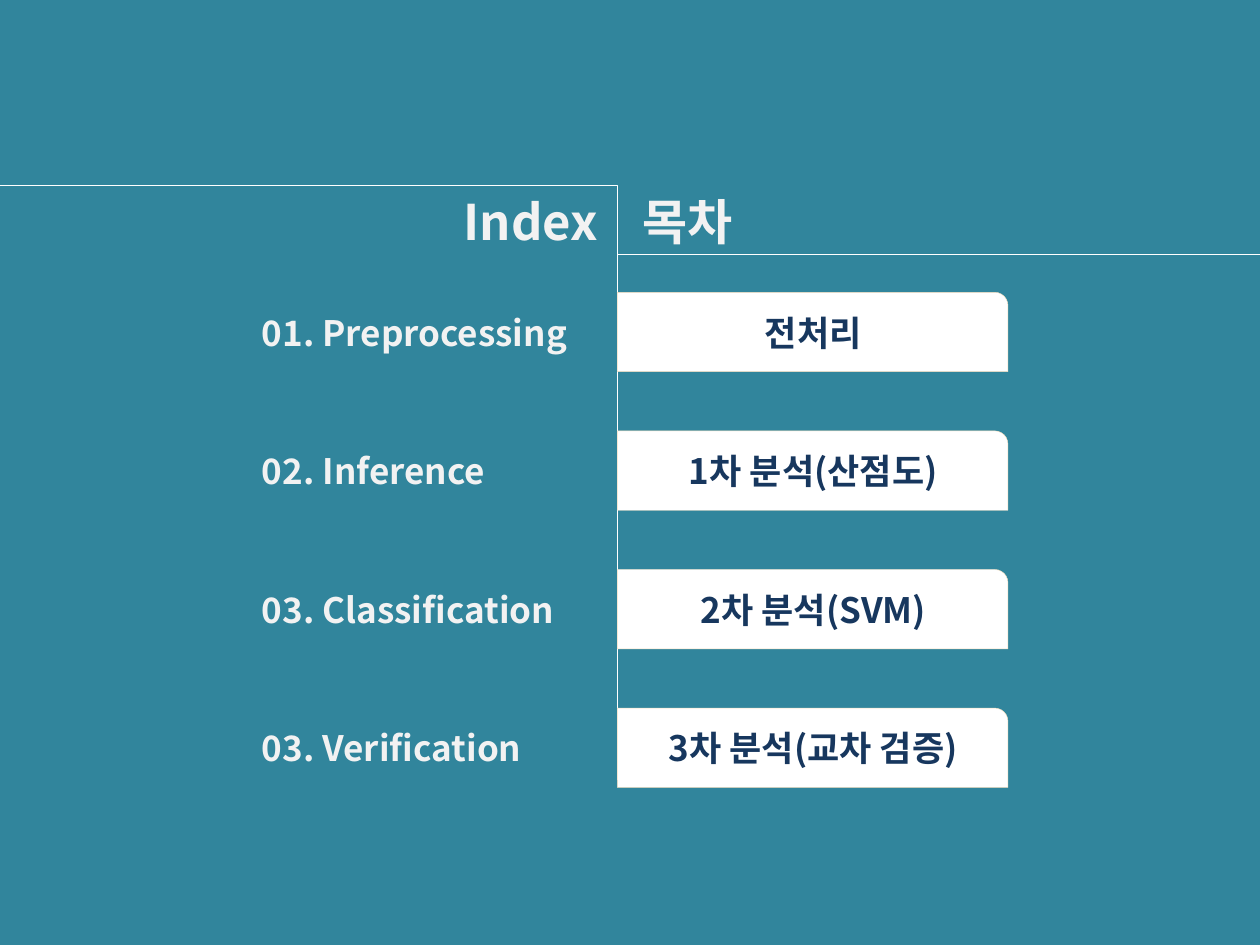
from lxml import etree
from pptx import Presentation
from pptx.dml.color import RGBColor
from pptx.enum.shapes import MSO_CONNECTOR, MSO_SHAPE
from pptx.enum.text import MSO_AUTO_SIZE, PP_ALIGN
from pptx.oxml import parse_xml
from pptx.oxml.ns import nsdecls, qn
from pptx.util import Inches, Pt

ELBOW, STRAIGHT = MSO_CONNECTOR.ELBOW, MSO_CONNECTOR.STRAIGHT
ROUND_CORNER = MSO_SHAPE.ROUND_1_RECTANGLE
FIT_SHAPE = MSO_AUTO_SIZE.SHAPE_TO_FIT_TEXT
LEFT, CENTER = PP_ALIGN.LEFT, PP_ALIGN.CENTER

TEAL = RGBColor(0x31, 0x85, 0x9C)
WHITE = RGBColor(0xFF, 0xFF, 0xFF)
OFF_WHITE = RGBColor(0xF2, 0xF2, 0xF2)
NAVY = RGBColor(0x17, 0x37, 0x5E)
CREAM = RGBColor(0xF3, 0xDD, 0xBE)
GREY = RGBColor(0xD9, 0xD9, 0xD9)
FONT = "Noto Sans CJK KR"

SPINE = 4.9
HEADER_TOP, HEADER_BOTTOM = 1.47, 2.02
HEADER_END = 10.28
FIRST_ROW, ROW_PITCH = 2.32, 1.1
ROWS = [
    ("01. Preprocessing", "전처리"),
    ("02. Inference", "1차 분석(산점도)"),
    ("03. Classification", "2차 분석(SVM)"),
    ("03. Verification", "3차 분석(교차 검증)"),
]


def add_text(text, left, top, width, height, size, color, alignment):
    box = slide.shapes.add_textbox(Inches(left), Inches(top), Inches(width), Inches(height))
    text_frame = box.text_frame
    text_frame.word_wrap = True
    text_frame.auto_size = FIT_SHAPE
    text_frame.text = text
    paragraph = text_frame.paragraphs[0]
    paragraph.alignment = alignment
    font = paragraph.runs[0].font
    font.name = FONT
    font.size = Pt(size)
    font.bold = True
    font.color.rgb = color
    properties = paragraph.runs[0].font.fill._xPr
    properties.insert(0, parse_xml(
        f'<a:ln {nsdecls("a")} w="9525"><a:solidFill><a:srgbClr val="{GREY}">'
        '<a:alpha val="30000"/></a:srgbClr></a:solidFill><a:prstDash val="solid"/></a:ln>'
    ))
    properties.find(qn("a:latin")).addnext(
        parse_xml(f'<a:ea {nsdecls("a")} typeface="{FONT}"/>')
    )
    return box


def add_line(kind, start_x, start_y, end_x, end_y):
    line = slide.shapes.add_connector(
        kind, Inches(start_x), Inches(start_y), Inches(end_x), Inches(end_y)
    )
    line.line.color.rgb = WHITE
    line.line.width = Pt(0.75)
    etree.SubElement(line._element.spPr, qn("a:effectLst"))
    return line


presentation = Presentation()
presentation.slide_width = Inches(10)
presentation.slide_height = Inches(7.5)
slide = presentation.slides.add_slide(presentation.slide_layouts[6])
slide.background.fill.solid()
slide.background.fill.fore_color.rgb = TEAL

title = add_text("Index\t목차", 3.27, HEADER_TOP, 2.99, 0.57, 28, OFF_WHITE, LEFT)
title.text_frame.margin_left = Inches(0.41)
tab_stops = etree.SubElement(title.text_frame.paragraphs[0]._p.get_or_add_pPr(), qn("a:tabLst"))
etree.SubElement(tab_stops, qn("a:tab"), pos=str(Inches(1.42)), algn="l")

header_line = add_line(ELBOW, 0, HEADER_TOP, HEADER_END, HEADER_BOTTOM)
adjustments = header_line._element.spPr.find(qn("a:prstGeom")).get_or_add_avLst()
bend = round(SPINE / HEADER_END * 100000)
etree.SubElement(adjustments, qn("a:gd"), name="adj1", fmla=f"val {bend}")
add_line(STRAIGHT, SPINE, HEADER_BOTTOM, SPINE, 6.19)

for index, (english, korean) in enumerate(ROWS):
    top = FIRST_ROW + index * ROW_PITCH
    card = slide.shapes.add_shape(
        ROUND_CORNER, Inches(SPINE), Inches(top), Inches(3.1), Inches(0.63)
    )
    card.shadow.inherit = False
    card.fill.solid()
    card.fill.fore_color.rgb = WHITE
    card.line.color.rgb = CREAM
    card.line.width = Pt(0.25)
    add_text(korean, 4.96, top + 0.1, 2.99, 0.44, 20, NAVY, CENTER)
    add_text(english, 1.98, top + 0.1, 3.1, 0.44, 20, OFF_WHITE, LEFT)

presentation.save("out.pptx")
